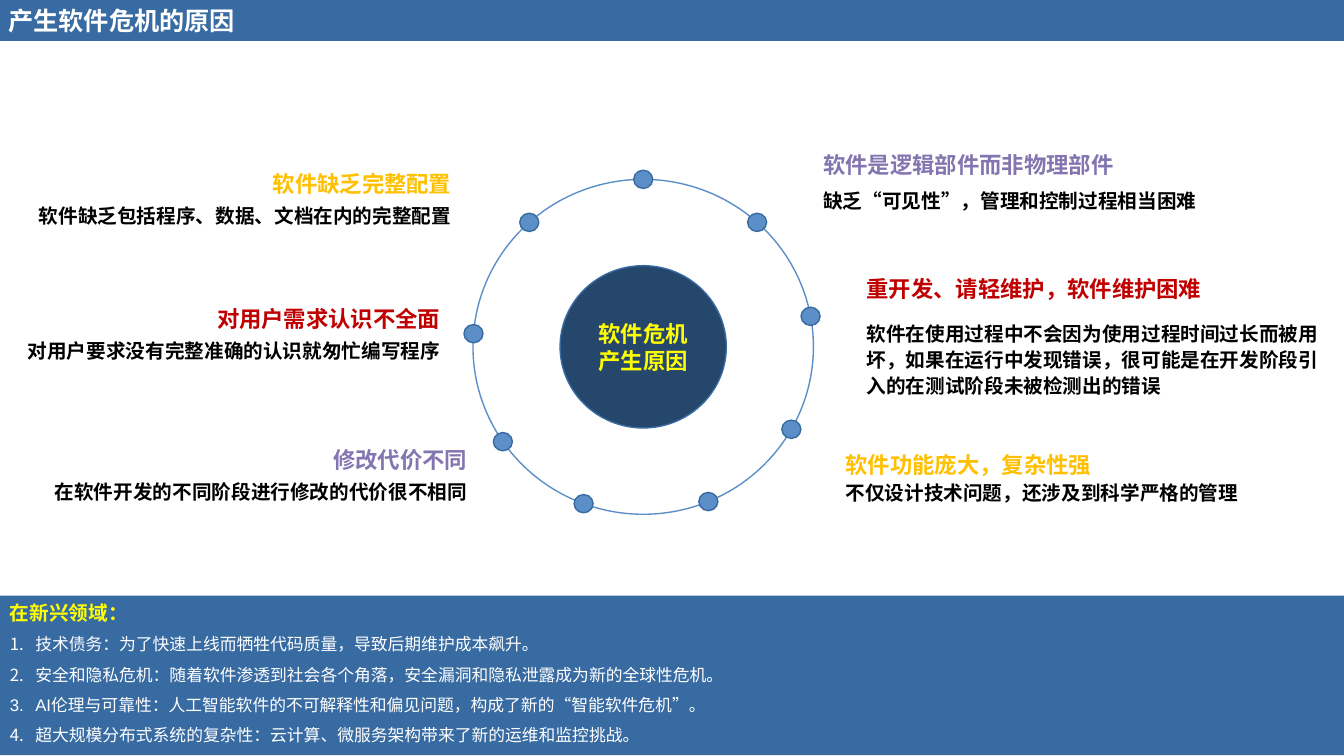
from math import cos, radians, sin

from lxml.etree import SubElement
from pptx import Presentation
from pptx.dml.color import RGBColor
from pptx.enum.lang import MSO_LANGUAGE_ID as Language
from pptx.enum.shapes import MSO_SHAPE as Shape
from pptx.enum.text import MSO_ANCHOR as Anchor, PP_ALIGN as Align
from pptx.oxml.ns import qn
from pptx.util import Cm, Pt

# Content
TITLE = "产生软件危机的原因"
HUB_LINES = ["软件危机", "产生原因"]

PURPLE, RED, GOLD = "8376B0", "C00000", "FFC000"
BLUE, DOT_BLUE, NAVY = "386BA2", "5C8FC7", "25476C"
WHITE, BLACK, YELLOW = "FFFFFF", "000000", "FFFF00"

# Left, top, width, alignment, heading spacing, detail spacing, gap in points,
# heading colour, heading, detail
CAUSES = [
    (20.5, 3.86, 10.29, Align.LEFT, 0.7, 0.7, 13.5, PURPLE,
     "软件是逻辑部件而非物理部件", "缺乏“可见性”，管理和控制过程相当困难"),
    (21.59, 6.99, 11.99, Align.LEFT, 0.7, 1.1, 13.5, RED,
     "重开发、请轻维护，软件维护困难",
     "软件在使用过程中不会因为使用过程时间过长而被用坏，如果在运行中发现错误，"
     "很可能是在开发阶段引入的在测试阶段未被检测出的错误"),
    (21.06, 11.18, 11.99, Align.LEFT, 1.1, 1.1, 0, GOLD,
     "软件功能庞大，复杂性强", "不仅设计技术问题，还涉及到科学严格的管理"),
    (0.3, 10.92, 11.73, Align.RIGHT, 1.3, 1.3, 0, PURPLE,
     "修改代价不同", "在软件开发的不同阶段进行修改的代价很不相同"),
    (0.43, 3.96, 11.2, Align.RIGHT, 1.3, 1.3, 0, GOLD,
     "软件缺乏完整配置", "软件缺乏包括程序、数据、文档在内的完整配置"),
    (0.43, 7.37, 10.92, Align.RIGHT, 1.3, 1.3, 0, RED,
     "对用户需求认识不全面", "对用户要求没有完整准确的认识就匆忙编写程序"),
]

EMERGING_HEADING = "在新兴领域："
EMERGING = [
    "技术债务：为了快速上线而牺牲代码质量，导致后期维护成本飙升。",
    "安全和隐私危机：随着软件渗透到社会各个角落，安全漏洞和隐私泄露成为新的全球性危机。",
    "AI伦理与可靠性：人工智能软件的不可解释性和偏见问题，构成了新的“智能软件危机”。",
    "超大规模分布式系统的复杂性：云计算、微服务架构带来了新的运维和监控挑战。",
]

# Ring geometry in centimetres; dot angles clockwise from the top
SLIDE_WIDTH, SLIDE_HEIGHT = 33.87, 19.05
CENTER_X, CENTER_Y = 16.21, 8.74
RADIUS_X, RADIUS_Y = 4.29, 4.22
DOT_ANGLES = [0, 42, 79.5, 119.5, 157.5, 200.5, 235.5, 274.5, 318]

presentation = Presentation()
presentation.slide_width = Cm(SLIDE_WIDTH)
presentation.slide_height = Cm(SLIDE_HEIGHT)
slide = presentation.slides.add_slide(presentation.slide_layouts[6])


def color(value):
    return RGBColor.from_string(value)


def add_box(kind, left, top, width, height, fill=None, line=None, anchor=Anchor.TOP):
    shape = slide.shapes.add_shape(kind, Cm(left), Cm(top), Cm(width), Cm(height))
    shape.shadow.inherit = False
    if fill:
        shape.fill.solid()
        shape.fill.fore_color.rgb = color(fill)
    else:
        shape.fill.background()
    if line:
        shape.line.color.rgb = color(line)
        shape.line.width = Pt(1)
    else:
        shape.line.fill.background()
    shape.text_frame.word_wrap = True
    shape.text_frame.vertical_anchor = anchor
    return shape


def add_ellipse(center_x, center_y, width, height, **style):
    return add_box(Shape.OVAL, center_x - width / 2, center_y - height / 2,
                   width, height, **style)


def add_text(shape, text, size, text_color, bold=True, align=Align.LEFT,
             spacing=1.0, before=0, numbered=False):
    frame = shape.text_frame
    paragraph = frame.paragraphs[0] if not frame.text else frame.add_paragraph()
    if numbered:
        properties = paragraph._p.get_or_add_pPr()
        properties.set("marL", str(Cm(0.64)))
        properties.set("indent", str(-Cm(0.64)))
        SubElement(properties, qn("a:buAutoNum"), type="arabicPeriod")
    paragraph.alignment = align
    paragraph.line_spacing = spacing
    if before:
        paragraph.space_before = Pt(before)
    run = paragraph.add_run()
    run.text = text
    run.font.name = "Arial"
    run.font.size = Pt(size)
    run.font.bold = bold
    run.font.color.rgb = color(text_color)
    run.font.language_id = Language.SIMPLIFIED_CHINESE


# Title bar
title_bar = add_box(Shape.RECTANGLE, -0.04, 0, 33.91, 1.03, fill=BLUE, anchor=Anchor.MIDDLE)
add_text(title_bar, TITLE, 18, WHITE)

# Hub, ring and dots
hub = add_ellipse(CENTER_X, CENTER_Y, 4.19, 4.09, fill=NAVY, line=BLUE, anchor=Anchor.MIDDLE)
for hub_line in HUB_LINES:
    add_text(hub, hub_line, 16, YELLOW, align=Align.CENTER)

add_ellipse(CENTER_X, CENTER_Y, 2 * RADIUS_X, 2 * RADIUS_Y, line=DOT_BLUE)
for angle in DOT_ANGLES:
    add_ellipse(CENTER_X + RADIUS_X * sin(radians(angle)),
                CENTER_Y - RADIUS_Y * cos(radians(angle)),
                0.48, 0.46, fill=DOT_BLUE, line=BLUE)

# Causes around the ring
for (left, top, width, align, heading_spacing, detail_spacing, gap,
     heading_color, heading, detail) in CAUSES:
    cause = add_box(Shape.RECTANGLE, left, top, width, 1.78, fill=WHITE)
    add_text(cause, heading, 16, heading_color, align=align, spacing=heading_spacing)
    add_text(cause, detail, 14, BLACK, align=align, spacing=detail_spacing, before=gap)

# Emerging fields
panel = add_box(Shape.RECTANGLE, 0, 15.01, SLIDE_WIDTH, 4.02, fill=BLUE)
add_text(panel, EMERGING_HEADING, 14, YELLOW)
for item in EMERGING:
    add_text(panel, item, 12, WHITE, bold=False, spacing=1.5, numbered=True)

presentation.save("out.pptx")
